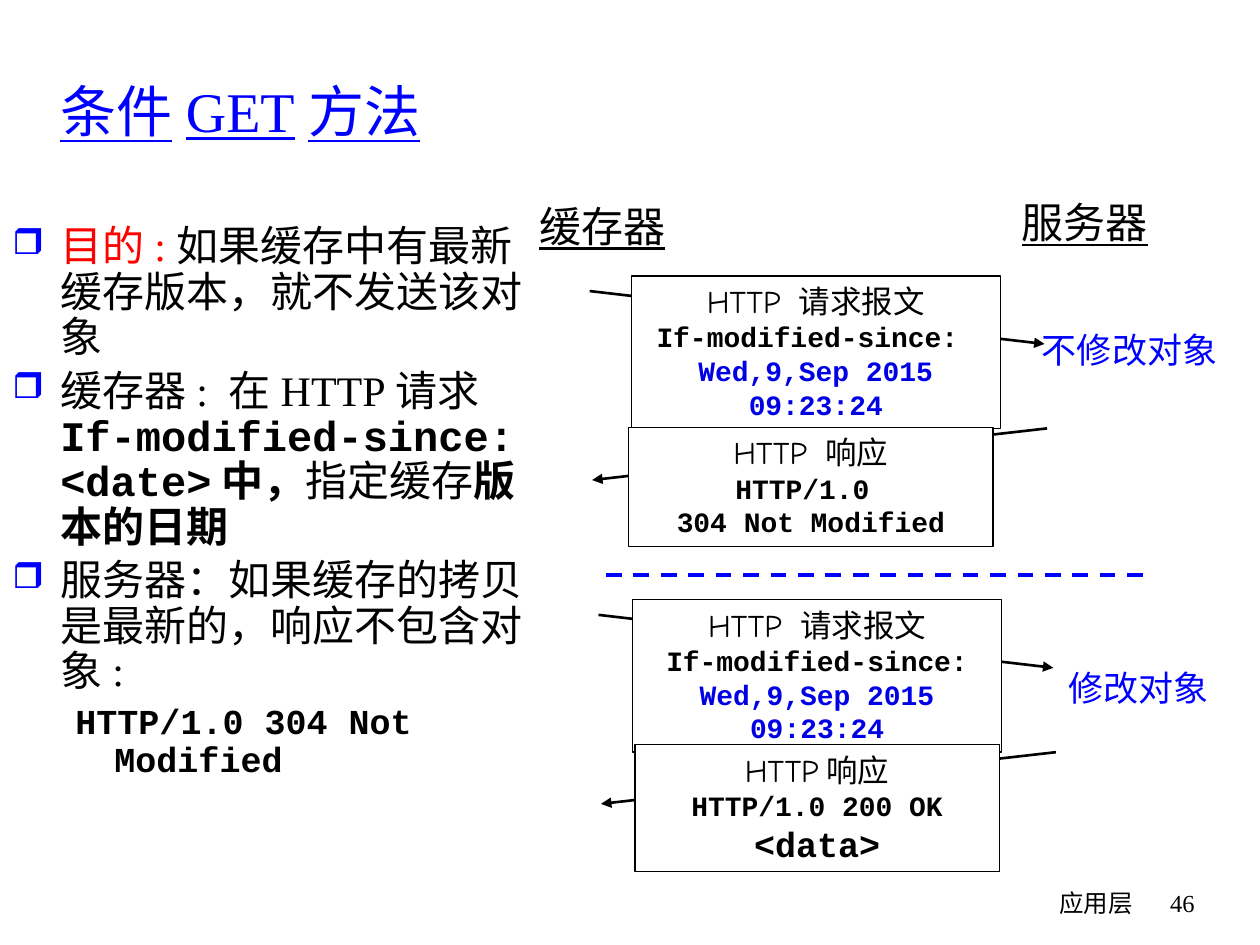
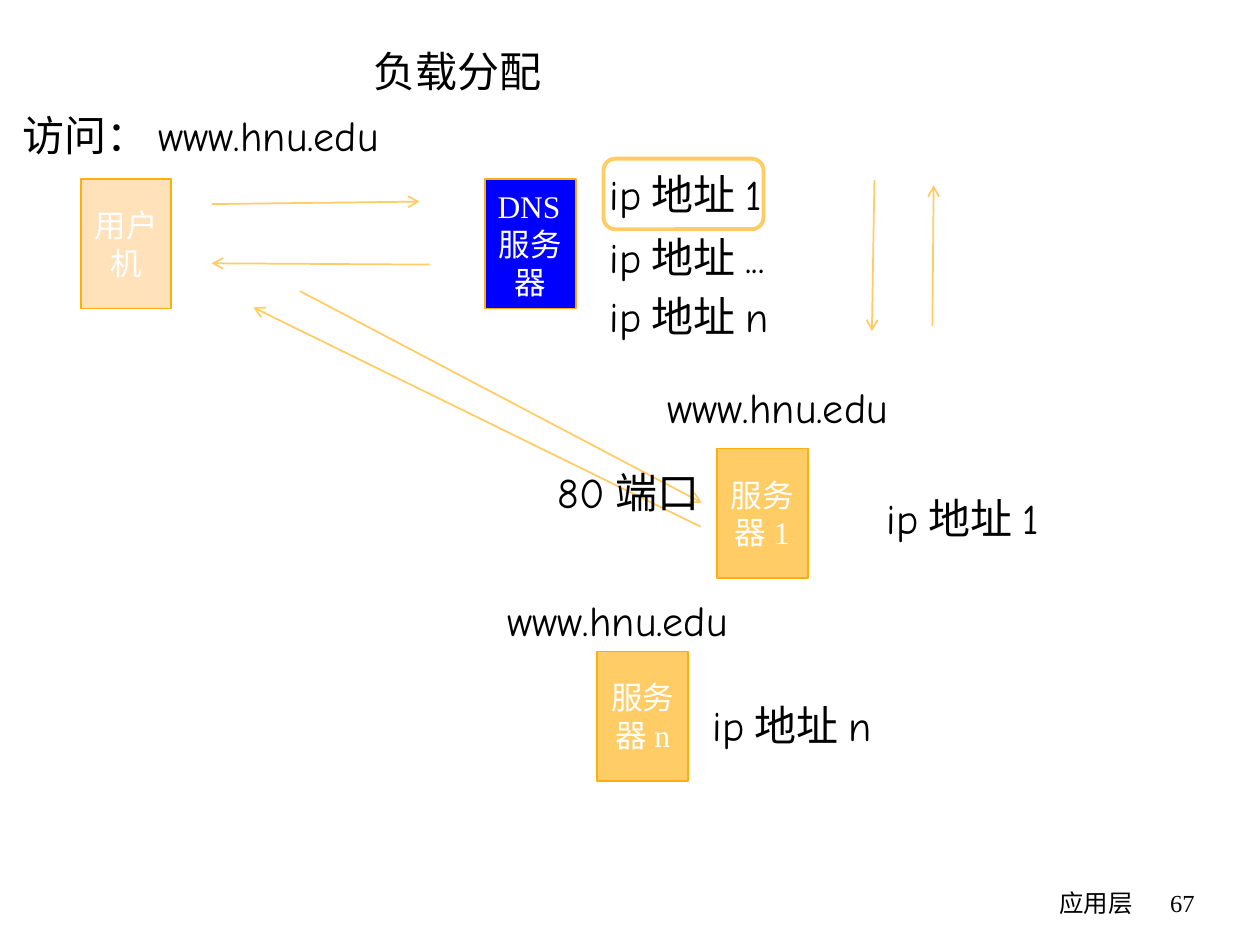
from lxml import etree
from pptx import Presentation
from pptx.dml.color import RGBColor
from pptx.enum.dml import MSO_LINE_DASH_STYLE as Dash
from pptx.enum.shapes import MSO_CONNECTOR as Conn, MSO_SHAPE as Shape
from pptx.enum.text import MSO_ANCHOR as Anchor, MSO_AUTO_SIZE as Fit, PP_ALIGN as Align
from pptx.oxml.ns import qn
from pptx.util import Inches, Pt

HUES = {"ink": "000000", "paper": "FFFFFF", "blue": "0000FF", "date": "0000E5",
        "red": "FF0000", "gold": "FFCC66", "rim": "FFAE0D", "pale": "FFE2B9"}
COMIC, MONO, ROMAN = "Comic Neue", "Courier New", "Times New Roman"


def hue(name):
    """Return the named colour."""
    return RGBColor.from_string(HUES[name])


def style(size, face=COMIC, tone="ink", bold=False, under=False):
    """Bundle the look of a run."""
    return size, face, tone, bold, under


HEAD, CODE, DATE = style(18), style(16, MONO, bold=True), style(16, MONO, "date", True)
LABEL, NOTE, NODE = style(24), style(20, tone="blue"), style(18, ROMAN, "paper")
SIDE = style(24, under=True)
PLAIN, BOLD = style(24, ROMAN), style(24, MONO, bold=True)


def write(frame, paras, align=Align.LEFT, anchor=Anchor.TOP, wrap=True, grow=False):
    """Fill a frame with paragraphs, each a list of text and style pairs."""
    frame.word_wrap = wrap
    frame.vertical_anchor = anchor
    frame.auto_size = Fit.SHAPE_TO_FIT_TEXT if grow else Fit.NONE
    for i, parts in enumerate(paras):
        para = frame.add_paragraph() if i else frame.paragraphs[0]
        para.alignment = align
        for text, (size, face, tone, bold, under) in parts:
            run = para.add_run()
            run.text = text
            font = run.font
            font.size, font.name = Pt(size), face
            font.bold, font.underline = bold, under
            font.color.rgb = hue(tone)
    return frame


def note(slide, box, text, look, **opts):
    """Add a text box holding one line of text."""
    area = slide.shapes.add_textbox(*map(Inches, box))
    write(area.text_frame, [[(text, look)]], **opts)


def block(slide, box, fill, edge, width, kind=Shape.RECTANGLE):
    """Add an outlined shape, filled when a colour is given."""
    shape = slide.shapes.add_shape(kind, *map(Inches, box))
    shape.shadow.inherit = False
    if fill:
        shape.fill.solid()
        shape.fill.fore_color.rgb = hue(fill)
    else:
        shape.fill.background()
    shape.line.color.rgb = hue(edge)
    shape.line.width = Pt(width)
    return shape


def line(slide, start, end, tone, width, tip=None):
    """Add a straight line with an optional arrowhead at its end."""
    link = slide.shapes.add_connector(Conn.STRAIGHT, *map(Inches, start + end))
    link.line.color.rgb = hue(tone)
    link.line.width = Pt(width)
    props = link._element.spPr
    if tip:
        etree.SubElement(props.find(qn("a:ln")), qn("a:tailEnd"), type=tip)
    etree.SubElement(props, qn("a:effectLst"))
    return link


def footer(slide, page):
    """Add the chapter name and the page number."""
    note(slide, (5.92, 7, 3.17, 0.5), "应用层", style(14), align=Align.RIGHT)
    note(slide, (9.08, 7, 0.5, 0.5), page, style(14, ROMAN), align=Align.RIGHT)


def indent(para, left, first, mark=None):
    """Set the indents of a paragraph and its bullet."""
    props = para._p.get_or_add_pPr()
    props.set("marL", str(Inches(left)))
    props.set("indent", str(Inches(first)))
    if mark:
        tint = etree.SubElement(props, qn("a:buClr"))
        etree.SubElement(tint, qn("a:srgbClr"), val=HUES["blue"])
        etree.SubElement(props, qn("a:buSzPct"), val="85000")
        etree.SubElement(props, qn("a:buChar"), char=mark)
    else:
        etree.SubElement(props, qn("a:buNone"))


def points(slide, box):
    """Add the bulleted explanation and the status line below it."""
    paras = [
        [("目的:", style(24, ROMAN, "red")),
         ("如果缓存中有最新缓存版本，就不发送该对象", PLAIN)],
        [("缓存器: 在HTTP请求", PLAIN), ("If-modified-since: <date>中，", BOLD),
         ("指定缓存", PLAIN), ("版本的日期", BOLD)],
        [("服务器：如果缓存的拷贝是最新的，响应不包含对象:", PLAIN)],
        [("HTTP/1.0 304 Not Modified", style(20, MONO, bold=True))],
    ]
    area = slide.shapes.add_textbox(*map(Inches, box))
    rows = write(area.text_frame, paras).paragraphs
    for i, para in enumerate(rows):
        if para is rows[-1]:
            indent(para, 0.81, -0.31)
        else:
            indent(para, 0.38, -0.38, "❒")
        para.line_spacing = 0.9
        if i:
            para.space_before = Pt(4.8)


def trade(slide, x, y, ask, reply):
    """Draw a request arrow and a response arrow, each under its message."""
    arrows = (((x, y + 0.12), (x + 3.61, y + 0.54)),
              ((x + 3.63, y + 1.21), (x + 0.02, y + 1.62)))
    for (start, end), (left, top, wide, high, paras) in zip(arrows, (ask, reply)):
        line(slide, start, end, "ink", 1.5, "triangle")
        shape = block(slide, (x + left, y + top, wide, high), "paper", "ink", 0.75)
        write(shape.text_frame, paras, Align.CENTER, grow=True)


def cache(deck):
    """Build the slide on the conditional GET."""
    slide = deck.slides.add_slide(deck.slide_layouts[6])
    footer(slide, "46")
    note(slide, (0.38, 0.25, 8.71, 1.25), "条件GET方法",
         style(32, ROMAN, "blue", under=True), anchor=Anchor.MIDDLE)
    points(slide, (0, 1.74, 4.42, 4.71))
    title = [("HTTP 请求报文", HEAD)]
    since, date = ("If-modified-since: ", CODE), ("Wed,9,Sep 2015 09:23:24", DATE)
    trade(slide, 4.68, 2.19,
          (0.33, 0, 2.93, 1.21, [title, [since], [date]]),
          (0.31, 1.2, 2.89, 0.95, [[("HTTP 响应", HEAD)], [("HTTP/1.0 ", CODE)],
                                   [("304 Not Modified", CODE)]]))
    rule = line(slide, (4.81, 4.56), (9.08, 4.56), "blue", 2.25)
    rule.line.dash_style = Dash.DASH
    trade(slide, 4.75, 4.76,
          (0.27, 0, 2.93, 1.21, [title, [since, date]]),
          (0.29, 1.15, 2.89, 1.01, [[("HTTP响应", HEAD)], [("HTTP/1.0 200 OK", CODE)],
                                    [("<data>", style(20, MONO, bold=True))]]))
    for box, text, look in (((4.18, 1.54, 1.2, 0.5), "缓存器", SIDE),
                            ((8.01, 1.51, 1.2, 0.5), "服务器", SIDE),
                            ((8.17, 2.56, 1.59, 0.43), "不修改对象", NOTE),
                            ((8.38, 5.24, 1.31, 0.43), "修改对象", NOTE)):
        note(slide, box, text, look, align=Align.CENTER, wrap=False, grow=True)


def label(slide, x, y, text):
    """Add a caption that stays within the slide."""
    note(slide, (x, y, min(5, 10 - x), 0.5), text, LABEL, grow=True)


def node(slide, x, y, text, fill):
    """Add a machine with its name."""
    shape = block(slide, (x, y, 0.72, 1.03), fill, "rim", 1)
    write(shape.text_frame, [[(text, NODE)]], Align.CENTER, Anchor.MIDDLE)


def load(deck):
    """Build the slide on load distribution."""
    slide = deck.slides.add_slide(deck.slide_layouts[6])
    footer(slide, "67")
    for spot in ((0.64, 1.42, "用户机", "pale"), (3.85, 1.42, "DNS服务器", "blue"),
                 (5.69, 3.56, "服务器1", "gold"), (4.74, 5.17, "服务器n", "gold")):
        node(slide, *spot)
    for start, end in (((1.68, 1.62), (3.33, 1.6)), ((3.41, 2.1), (1.68, 2.09)),
                       ((6.94, 1.43), (6.92, 2.63)), ((7.4, 2.59), (7.41, 1.47)),
                       ((5.56, 4.18), (2.01, 2.44)), ((2.38, 2.31), (5.57, 3.99))):
        line(slide, start, end, "gold", 1, "arrow")
    for spot in ((2.87, 0.31, "负载分配"), (0.08, 0.82, "访问：www.hnu.edu"),
                 (5.2, 2.98, "www.hnu.edu"), (3.93, 4.67, "www.hnu.edu"),
                 (6.94, 3.86, "ip地址1"), (5.56, 5.5, "ip地址n"),
                 (4.74, 1.29, "ip地址1"), (4.74, 1.79, "ip地址..."),
                 (4.74, 2.26, "ip地址n"), (4.33, 3.65, "80端口")):
        label(slide, *spot)
    block(slide, (4.79, 1.26, 1.27, 0.56), None, "gold", 2.25, Shape.ROUNDED_RECTANGLE)


def main():
    """Build and save the deck."""
    deck = Presentation()
    deck.slide_width, deck.slide_height = Inches(10), Inches(7.5)
    cache(deck)
    load(deck)
    deck.save("out.pptx")


if __name__ == "__main__":
    main()
